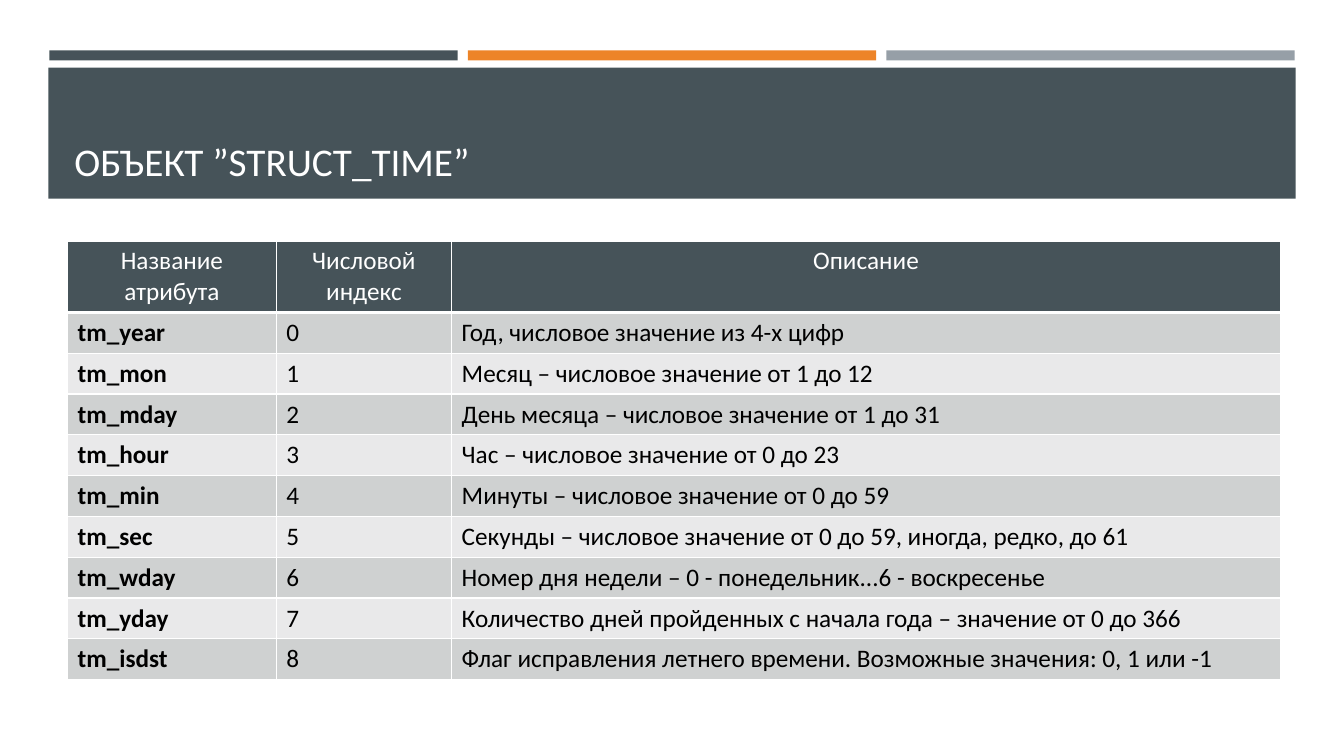
"""Build the slide that describes the attributes of the struct_time object."""
from lxml import etree
from pptx import Presentation
from pptx.dml.color import RGBColor
from pptx.enum.shapes import MSO_SHAPE
from pptx.enum.text import MSO_ANCHOR, PP_ALIGN
from pptx.oxml.ns import qn
from pptx.util import Inches, Pt

RECT = MSO_SHAPE.RECTANGLE
BOTTOM = MSO_ANCHOR.BOTTOM
LEFT, CENTER = PP_ALIGN.LEFT, PP_ALIGN.CENTER

TITLE = "ОБЪЕКТ ”STRUCT_TIME”"
HEADER = ("Название атрибута", "Числовой индекс", "Описание")
ATTRIBUTES = [
    ("tm_year", "Год, числовое значение из 4-х цифр"),
    ("tm_mon", "Месяц – числовое значение от 1 до 12"),
    ("tm_mday", "День месяца – числовое значение от 1 до 31"),
    ("tm_hour", "Час – числовое значение от 0 до 23"),
    ("tm_min", "Минуты – числовое значение от 0 до 59"),
    ("tm_sec", "Секунды – числовое значение от 0 до 59, иногда, редко, до 61"),
    ("tm_wday", "Номер дня недели – 0 - понедельник...6 - воскресенье"),
    ("tm_yday", "Количество дней пройденных с начала года – значение от 0 до 366"),
    ("tm_isdst", "Флаг исправления летнего времени. Возможные значения: 0, 1 или -1"),
]
COLORS = {
    "slate": "465359", "orange": "ED8428", "gray": "969FA7",
    "white": "FFFFFF", "black": "000000",
    "band_dark": "CFD1D1", "band_light": "E9E9EA",
}
FONT = "Calibri"
STRIPES = ("slate", "orange", "gray")
STRIPE_LEFT, STRIPE_STEP, STRIPE_WIDTH = 0.49, 4.15, 4.05
COL_WIDTHS = (2.07, 1.74, 8.22)
HEADER_HEIGHT, ROW_HEIGHT = 0.71, 0.405


def rgb(name):
    return RGBColor.from_string(COLORS[name])


def add_bar(s, left, top, width, height, color):
    sp = s.shapes.add_shape(RECT, Inches(left), Inches(top), Inches(width), Inches(height))
    sp.shadow.inherit = False
    sp.fill.solid()
    sp.fill.fore_color.rgb = rgb(color)
    sp.line.fill.background()


def add_run(p, text, size, color, bold=False):
    r = p.add_run()
    r.text = text
    r.font.name = FONT
    r.font.size = Pt(size)
    r.font.bold = bold
    r.font.color.rgb = rgb(color)


def set_borders(cell, widths):
    tc_pr = cell._tc.get_or_add_tcPr()
    for i, (side, width) in enumerate(widths.items()):
        ln = etree.Element(qn(f"a:{side}"), w=str(Pt(width)))
        fill = etree.SubElement(ln, qn("a:solidFill"))
        etree.SubElement(fill, qn("a:srgbClr"), val=COLORS["white"])
        tc_pr.insert(i, ln)


def add_attribute_table(s):
    rows = [HEADER] + [(name, str(i), text) for i, (name, text) in enumerate(ATTRIBUTES)]
    heights = [HEADER_HEIGHT] + [ROW_HEIGHT] * len(ATTRIBUTES)
    frame = s.shapes.add_table(len(rows), len(HEADER), Inches(0.67), Inches(2.39),
                               Inches(sum(COL_WIDTHS)), Inches(sum(heights)))
    table = frame.table
    for column, width in zip(table.columns, COL_WIDTHS):
        column.width = Inches(width)
    for i, (row, height) in enumerate(zip(rows, heights)):
        table.rows[i].height = Inches(height)
        header = i == 0
        fill = "slate" if header else "band_dark" if i % 2 else "band_light"
        for j, text in enumerate(row):
            cell = table.cell(i, j)
            cell.fill.solid()
            cell.fill.fore_color.rgb = rgb(fill)
            set_borders(cell, {"lnL": 1, "lnR": 1, "lnT": 3 if i == 1 else 1,
                               "lnB": 3 if header else 1})
            p = cell.text_frame.paragraphs[0]
            p.alignment = CENTER if header else LEFT
            add_run(p, text, 18, "white" if header else "black", not header and j == 0)


def main():
    prs = Presentation()
    prs.slide_width, prs.slide_height = Inches(13.33), Inches(7.5)
    s = prs.slides.add_slide(prs.slide_layouts[6])
    for i, color in enumerate(STRIPES):
        add_bar(s, STRIPE_LEFT + i * STRIPE_STEP, 0.5, STRIPE_WIDTH, 0.1, color)
    add_bar(s, 0.48, 0.67, 12.37, 1.3, "slate")
    tf = s.shapes.add_textbox(Inches(0.64), Inches(0.77), Inches(12.06), Inches(1.11)).text_frame
    tf.word_wrap = True
    tf.vertical_anchor = BOTTOM
    add_run(tf.paragraphs[0], TITLE, 28, "white")
    add_attribute_table(s)
    prs.save("out.pptx")


if __name__ == "__main__":
    main()
